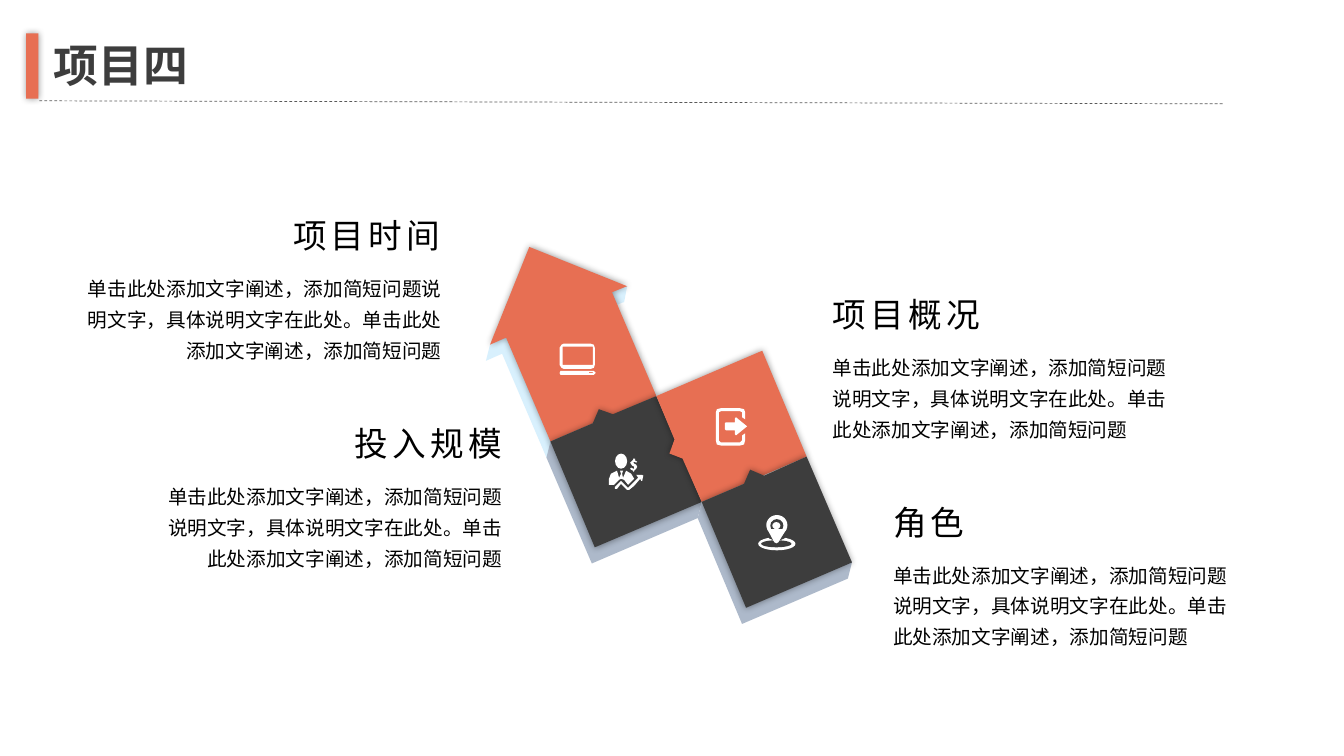
from lxml.etree import SubElement
from pptx import Presentation
from pptx.dml.color import RGBColor
from pptx.enum.dml import MSO_LINE
from pptx.enum.shapes import MSO_CONNECTOR as CONNECTOR, MSO_SHAPE as SHAPE
from pptx.enum.text import MSO_ANCHOR as ANCHOR, MSO_AUTO_SIZE as AUTO, PP_ALIGN as ALIGN
from pptx.oxml.ns import qn
from pptx.util import Pt

PX = 9144  # 100 px to the inch
FONT = "Noto Sans CJK SC"
COLORS = {"coral": "E76F53", "dark": "3D3D3D", "ice": "D8F0FD", "steel": "ADB9CA",
          "grey": "595959", "white": "FFFFFF", "black": "000000"}
RGB = {name: RGBColor.from_string(value) for name, value in COLORS.items()}

prs = Presentation()
prs.slide_width, prs.slide_height = 1333 * PX, 750 * PX
slide = prs.slides.add_slide(prs.slide_layouts[5])


def paint(shape, color):
    shape.fill.solid()
    shape.fill.fore_color.rgb = RGB[color]
    shape.line.fill.background()
    shape.shadow.inherit = False


def add_run(paragraph, text, size, color):
    run = paragraph.add_run()
    run.text = text
    run.font.size = Pt(size)
    run.font.color.rgb = RGB[color]
    run.font.name = FONT
    properties = run._r.get_or_add_rPr()
    SubElement(properties, qn("a:ea"), typeface=FONT)
    return run


# Header: accent bar, dashed rule and title
accent = slide.shapes.add_shape(SHAPE.RECTANGLE, 26 * PX, 33 * PX, 12 * PX, 65 * PX)
paint(accent, "coral")
raised = [accent]

rule = slide.shapes.add_connector(CONNECTOR.STRAIGHT, 39 * PX, 100 * PX, 1213 * PX, 103 * PX)
rule.line.color.rgb = RGB["grey"]
rule.line.width = Pt(0.5)
rule.line.dash_style = MSO_LINE.DASH
SubElement(rule._element.spPr, qn("a:effectLst"))

title = slide.shapes.title
title.left, title.top, title.width, title.height = 43 * PX, 32 * PX, 692 * PX, 64 * PX
title.text_frame.auto_size = AUTO.NONE
title.text_frame.vertical_anchor = ANCHOR.MIDDLE
title.text_frame.paragraphs[0].alignment = ALIGN.LEFT
add_run(title.text_frame.paragraphs[0], "项目四", 32, "dark").font.bold = True

# Folded arrow: (colour, raised, outlines), back to front
arrow_parts = [
    ("ice", False, [[(522, 261), (564, 278), (622, 284), (619, 300), (618, 300), (603, 306),
                     (647, 409), (542, 454), (498, 351), (482, 358), (486, 342), (490, 340)]]),
    ("coral", True, [[(525, 245), (622, 284), (607, 290), (651, 393), (546, 438), (502, 335),
                      (486, 342)]]),
    ("steel", False, [[(647, 409), (683, 493), (686, 493), (696, 498), (692, 514), (587, 559),
                       (542, 454), (546, 438), (574, 440), (584, 436), (590, 422), (604, 427)]]),
    ("dark", True, [[(588, 420), (594, 406), (608, 411), (651, 393), (696, 498), (590, 543),
                     (546, 438)]]),
    ("coral", True, [[(669, 436), (651, 393), (756, 348), (800, 453), (696, 498), (677, 455),
                      (664, 450)]]),
    ("steel", False, [[(797, 469), (845, 558), (841, 574), (736, 619), (692, 514), (696, 498),
                       (714, 505), (734, 496), (740, 482), (754, 488)]]),
    ("dark", True, [[(738, 480), (744, 466), (758, 472), (800, 453), (845, 558), (740, 603),
                     (696, 498)]]),
]

# Icon outlines
laptop = [
    [(559, 341), (586, 341), (589, 342), (590, 345), (590, 362), (589, 365), (586, 366),
     (559, 366), (557, 365), (555, 362), (555, 345), (557, 342)],
    [(558, 344), (558, 362), (588, 362), (588, 344)],
    [(556, 368), (589, 368), (591, 370), (589, 372), (556, 372), (555, 370)],
    [(584, 369), (588, 369), (588, 370), (584, 370)],
]
door_exit = [
    [(730, 414), (741, 423), (730, 432), (729, 431), (729, 427), (720, 427), (719, 426),
     (719, 420), (720, 419), (729, 419), (729, 415)],
    [(715, 405), (734, 405), (738, 406), (739, 409), (739, 416), (736, 414), (736, 409),
     (734, 408), (715, 408), (713, 409), (713, 437), (715, 439), (734, 439), (736, 437),
     (736, 432), (739, 430), (739, 437), (738, 441), (734, 442), (715, 442), (711, 441),
     (710, 437), (710, 409), (711, 406)],
]
investor = [
    # growth line
    [(632, 471), (637, 471), (638, 472), (637, 477), (636, 477), (635, 475), (629, 482),
     (624, 486), (622, 486), (616, 480), (612, 485), (610, 485), (610, 483), (616, 477),
     (623, 484), (633, 474), (631, 471)],
    # suit
    [(621, 467), (626, 470), (629, 475), (623, 481), (619, 476), (616, 475), (614, 476),
     (609, 481), (604, 481), (604, 475), (606, 470), (612, 467), (614, 474), (616, 470),
     (615, 467), (618, 467), (617, 470), (618, 474)],
    # dollar sign
    [(628, 455), (630, 455), (630, 457), (632, 458), (631, 459), (629, 458), (628, 459),
     (629, 460), (631, 461), (632, 463), (631, 465), (629, 467), (629, 468), (628, 468),
     (628, 467), (626, 466), (625, 465), (626, 464), (628, 465), (629, 465), (629, 463),
     (627, 462), (625, 459), (627, 457), (628, 456)],
]
pin_tip = [[(761, 525), (780, 525), (772, 538), (770, 539), (768, 538)]]
icons = [("white", False, icon) for icon in (laptop, door_exit, investor, pin_tip)]

# Ovals of the map pin and the investor's head
ovals = [("white", 752, 533, 37, 13), ("dark", 755, 536, 30, 7), ("dark", 762, 529, 17, 7),
         ("white", 760, 511, 21, 20), ("dark", 764, 515, 13, 13), ("white", 766, 518, 8, 7),
         ("white", 610, 450, 12, 15)]

arrow = slide.shapes.add_group_shape()
for color, is_raised, outlines in arrow_parts:
    builder = arrow.shapes.build_freeform(*outlines[0][0], scale=PX)
    builder.add_line_segments(outlines[0][1:], close=True)
    part = builder.convert_to_shape()
    paint(part, color)
    if is_raised:
        raised.append(part)

for color, left, top, width, height in ovals:
    oval = arrow.shapes.add_shape(SHAPE.OVAL, left * PX, top * PX, width * PX, height * PX)
    paint(oval, color)

for color, is_raised, outlines in icons:
    builder = arrow.shapes.build_freeform(*outlines[0][0], scale=PX)
    builder.add_line_segments(outlines[0][1:], close=True)
    for outline in outlines[1:]:
        builder.move_to(*outline[0])
        builder.add_line_segments(outline[1:], close=True)
    paint(builder.convert_to_shape(), color)

# Soft glow under the raised parts
for part in raised:
    effects = part._element.spPr.find(qn("a:effectLst"))
    glow = SubElement(effects, qn("a:outerShdw"), blurRad=str(Pt(5)), dist="0", dir="0",
                      algn="ctr", rotWithShape="0")
    tint = SubElement(glow, qn("a:srgbClr"), val=COLORS["black"])
    SubElement(tint, qn("a:alpha"), val="40000")

# Four topics: heading, its left, top and width, then left and width of the detail
DETAIL = "单击此处添加文字阐述，添加简短问题说明文字，具体说明文字在此处。单击此处添加文字阐述，添加简短问题"
topics = [
    ("项目概况", 816, 285, 172, 816, 366, ALIGN.LEFT),
    ("角色", 876, 491, 96, 876, 366, ALIGN.LEFT),
    ("项目时间", 281, 207, 172, 66, 382, ALIGN.RIGHT),
    ("投入规模", 342, 413, 172, 144, 364, ALIGN.RIGHT),
]
for name, left, top, width, detail_left, detail_width, align in topics:
    heading = slide.shapes.add_textbox(left * PX, top * PX, width * PX, 50 * PX).text_frame
    heading.word_wrap = False
    heading.auto_size = AUTO.SHAPE_TO_FIT_TEXT
    heading.paragraphs[0].line_spacing = Pt(30)
    heading_run = add_run(heading.paragraphs[0], name, 24, "black")
    heading_run._r.get_or_add_rPr().set("spc", "300")

    detail = slide.shapes.add_textbox(detail_left * PX, (top + 56) * PX,
                                      detail_width * PX, 100 * PX).text_frame
    detail.word_wrap = True
    detail.auto_size = AUTO.SHAPE_TO_FIT_TEXT
    detail.paragraphs[0].alignment = align
    detail.paragraphs[0].line_spacing = Pt(22)
    add_run(detail.paragraphs[0], DETAIL, 14, "black")

prs.save("out.pptx")
